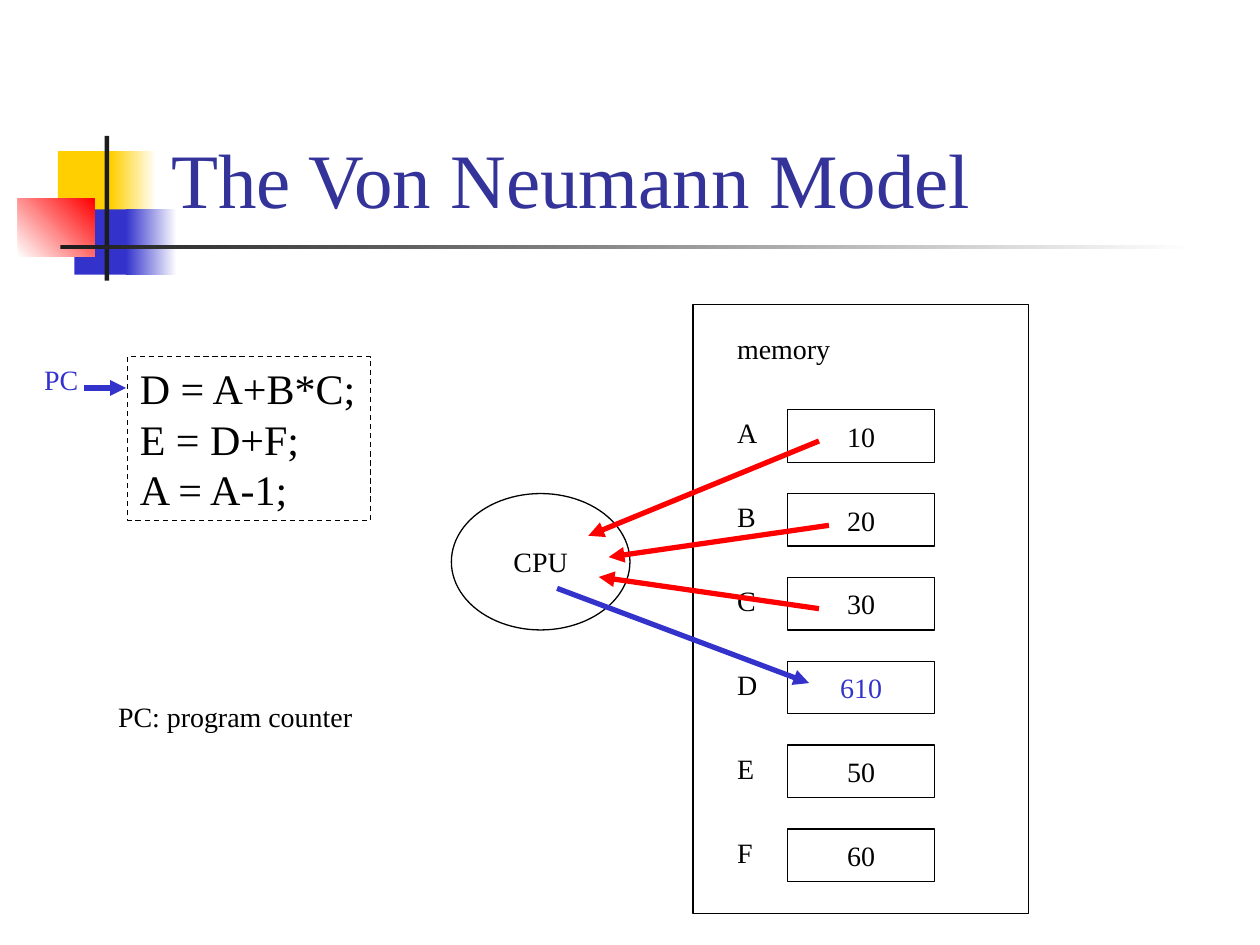
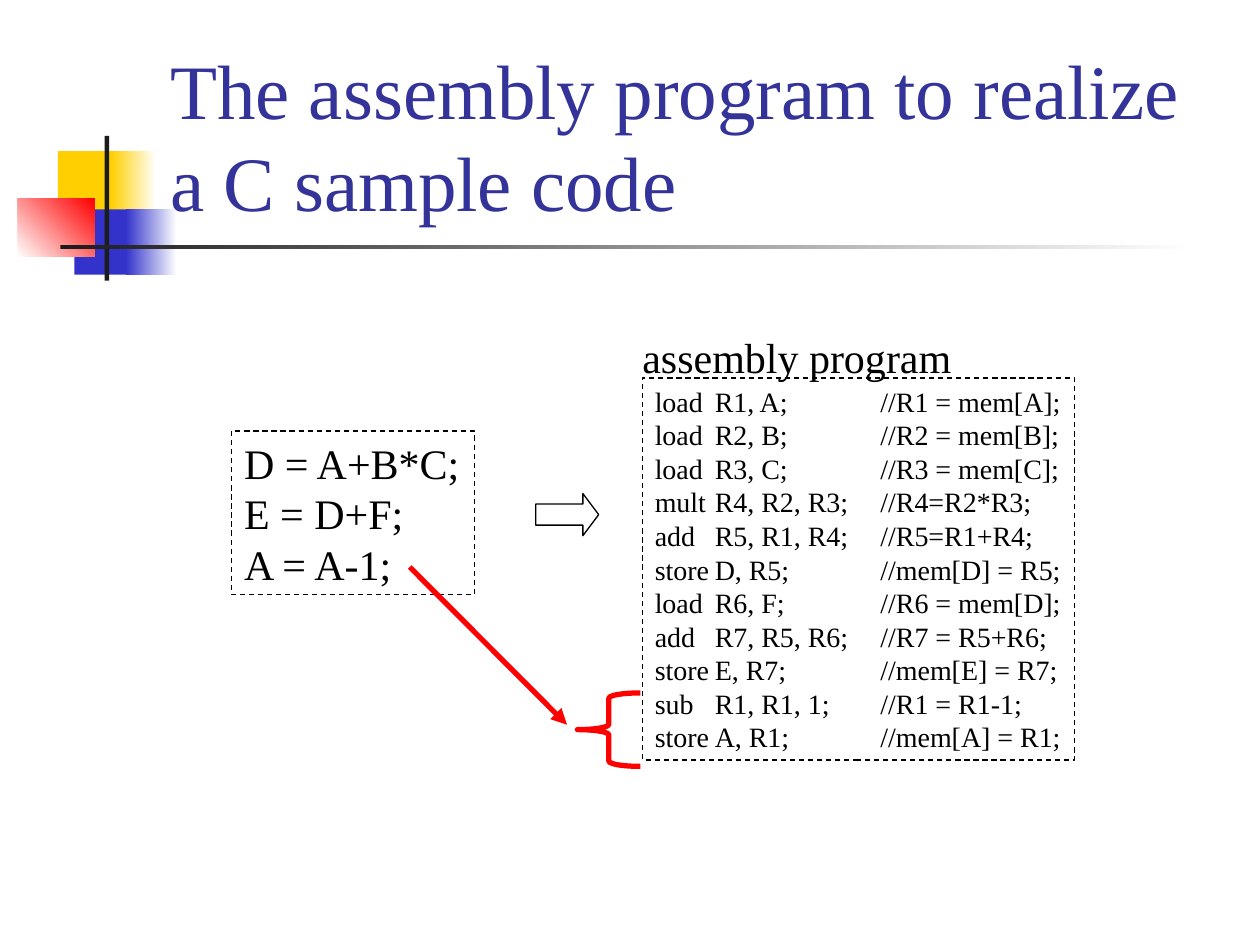
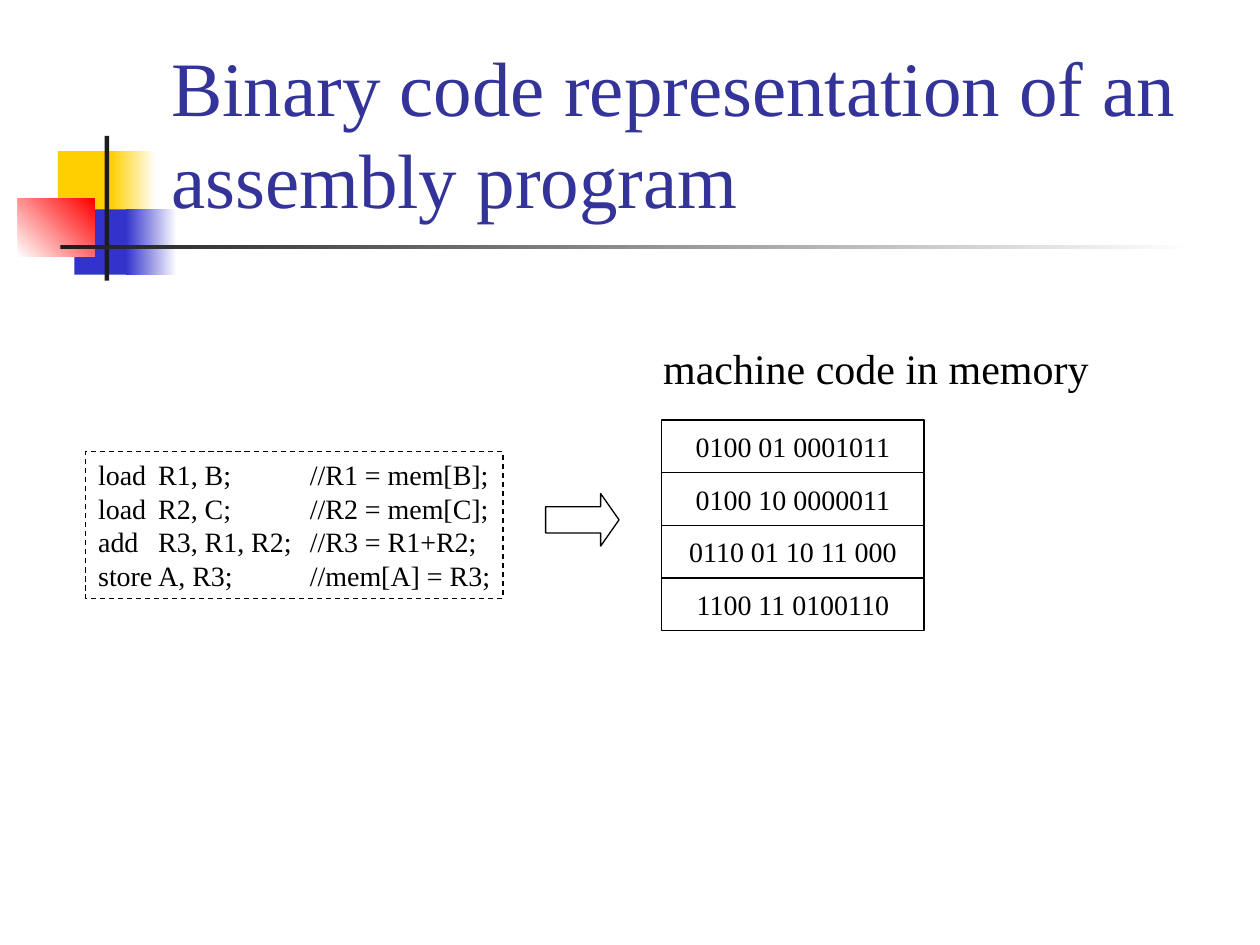
from dataclasses import dataclass

from pptx import Presentation
from pptx.dml.color import RGBColor
from pptx.enum.dml import MSO_LINE
from pptx.enum.shapes import MSO_CONNECTOR as Link, MSO_SHAPE as Kind
from pptx.enum.text import MSO_ANCHOR as Anchor, PP_ALIGN as Align
from pptx.oxml.ns import qn
from pptx.oxml.xmlchemy import OxmlElement
from pptx.util import Cm, Pt


@dataclass(frozen=True)
class Theme:
    font: str = "Times New Roman"
    title: str = "333399"
    ink: str = "000000"
    blue: str = "3333CC"
    red: str = "FF0000"
    yellow: str = "FFCF01"
    dark: str = "1C1C1C"
    white: str = "FFFFFF"
    title_size: int = 44
    large: int = 24
    small: int = 16
    thin: float = 0.75
    thick: float = 3


THEME = Theme()

# Content; all lengths are in centimetres
C_CODE = ["D = A+B*C;", "E = D+F;", "A = A-1;"]
MEMORY = [("A", "10"), ("B", "20"), ("C", "30"),
          ("D", "610"), ("E", "50"), ("F", "60")]
RESULT = "D"
ASSEMBLY = [
    ("load", "R1, A;", "//R1 = mem[A];"),
    ("load", "R2, B;", "//R2 = mem[B];"),
    ("load", "R3, C;", "//R3 = mem[C];"),
    ("mult", "R4, R2, R3;", "//R4=R2*R3;"),
    ("add", "R5, R1, R4;", "//R5=R1+R4;"),
    ("store", "D, R5;", "//mem[D] = R5;"),
    ("load", "R6, F;", "//R6 = mem[D];"),
    ("add", "R7, R5, R6;", "//R7 = R5+R6;"),
    ("store", "E, R7;", "//mem[E] = R7;"),
    ("sub", "R1, R1, 1;", "//R1 = R1-1;"),
    ("store", "A, R1;", "//mem[A] = R1;"),
]
SHORT_ASSEMBLY = [
    ("load", "R1, B;", "//R1 = mem[B];"),
    ("load", "R2, C;", "//R2 = mem[C];"),
    ("add", "R3, R1, R2;", "//R3 = R1+R2;"),
    ("store", "A, R3;", "//mem[A] = R3;"),
]
MACHINE_CODE = ["0100 01 0001011", "0100 10 0000011",
                "0110 01 10 11 000", "1100 11 0100110"]

# Corner ornament: place, colours (two make a gradient), gradient angle
ORNAMENT = [
    ((1.17, 3.05, 1.22, 1.32), [THEME.yellow], 0),
    ((2.24, 3.05, 0.91, 1.32), [THEME.yellow, THEME.white], 0),
    ((1.5, 4.22, 1.17, 1.32), [THEME.blue], 0),
    ((2.54, 4.22, 1.02, 1.32), [THEME.blue, THEME.white], 0),
    ((0.36, 4.01, 1.55, 1.17), [THEME.white, THEME.red], 45),
    ((2.11, 2.74, 0.09, 2.92), [THEME.dark], 0),
    ((1.22, 4.94, 22.86, 0.09), [THEME.dark, THEME.white], 0),
]
CELL_HEIGHT = 1.06
OPERAND_TAB = 1.21


def color(code):
    return RGBColor.from_string(code)


def set_tabs(para, stops):
    tabs = OxmlElement("a:tabLst")
    for stop in stops:
        tab = OxmlElement("a:tab")
        tab.set("pos", str(Cm(stop)))
        tab.set("algn", "l")
        tabs.append(tab)
    para._p.get_or_add_pPr().append(tabs)


def write(box, lines, size, ink=THEME.ink, align=Align.LEFT,
          anchor=Anchor.TOP, tabs=()):
    frame = box.text_frame
    frame.word_wrap = True
    frame.vertical_anchor = anchor
    if align == Align.LEFT:
        frame.margin_right = 0
    for index, line in enumerate(lines):
        para = frame.add_paragraph() if index else frame.paragraphs[0]
        para.alignment = align
        if tabs:
            set_tabs(para, tabs)
        span = para.add_run()
        span.text = line
        span.font.name = THEME.font
        span.font.size = Pt(size)
        span.font.color.rgb = color(ink)


def add_text(page, place, text, size=THEME.small, **style):
    box = page.shapes.add_textbox(*map(Cm, place))
    write(box, [text], size, **style)


def add_outline(page, place, kind=Kind.RECTANGLE, ink=THEME.ink,
                width=THEME.thin):
    shape = page.shapes.add_shape(kind, *map(Cm, place))
    shape.shadow.inherit = False
    shape.fill.background()
    shape.line.color.rgb = color(ink)
    shape.line.width = Pt(width)
    return shape


def add_label_shape(page, place, text, kind=Kind.RECTANGLE, ink=THEME.ink):
    shape = add_outline(page, place, kind)
    write(shape, [text], THEME.small, ink, Align.CENTER, Anchor.MIDDLE)


def add_code(page, place, lines, size=THEME.large, tabs=()):
    shape = add_outline(page, place)
    shape.line.dash_style = MSO_LINE.DASH
    write(shape, lines, size, tabs=tabs)


def add_assembly(page, place, rows, comment_tab):
    add_code(page, place, ["\t".join(row) for row in rows], THEME.small,
             (OPERAND_TAB, comment_tab))


def add_block_arrow(page, place, head):
    add_outline(page, place, Kind.RIGHT_ARROW).adjustments[1] = head


def add_arrow(page, ends, ink):
    arrow = page.shapes.add_connector(Link.STRAIGHT, *map(Cm, ends))
    arrow.line.color.rgb = color(ink)
    arrow.line.width = Pt(THEME.thick)
    properties = arrow._element.spPr
    head = OxmlElement("a:tailEnd")
    head.set("type", "triangle")
    properties.find(qn("a:ln")).append(head)
    properties.append(OxmlElement("a:effectLst"))


def add_page(deck, title, left=3.2, top=0.58):
    page = deck.slides.add_slide(deck.slide_layouts[6])
    for place, colors, angle in ORNAMENT:
        shape = page.shapes.add_shape(Kind.RECTANGLE, *map(Cm, place))
        shape.shadow.inherit = False
        shape.line.fill.background()
        if len(colors) == 1:
            shape.fill.solid()
            shape.fill.fore_color.rgb = color(colors[0])
        else:
            shape.fill.gradient()
            shape.fill.gradient_angle = angle
            for stop, code in zip(shape.fill.gradient_stops, colors):
                stop.color.rgb = color(code)
    add_text(page, (left, top, 21.64, 4.06), title, THEME.title_size,
             ink=THEME.title, anchor=Anchor.BOTTOM)
    return page


def build_model(deck):
    page = add_page(deck, "The Von Neumann Model")
    add_code(page, (2.57, 7.19, 4.9, 3.3), C_CODE)

    # Memory with its named cells
    for index, (name, value) in enumerate(MEMORY):
        top = 8.26 + index * 1.69
        ink = THEME.blue if name == RESULT else THEME.ink
        add_label_shape(page, (15.88, top, 2.96, CELL_HEIGHT), value, ink=ink)
        add_text(page, (14.61, top, 0.95, 0.94), name)
    add_outline(page, (13.97, 6.14, 6.77, 12.28))
    add_text(page, (14.61, 6.56, 2.6, 0.94), "memory")

    # Processor and program counter
    add_label_shape(page, (9.1, 9.95, 3.6, 2.75), "CPU", Kind.OVAL)
    add_text(page, (2.13, 13.97, 5.5, 0.94), "PC: program counter")
    add_arrow(page, (1.7, 7.82, 2.54, 7.82), THEME.blue)
    add_text(page, (0.64, 7.19, 1.25, 0.94), "PC", ink=THEME.blue)

    # Reads into the processor, then the write back
    for ends in [(16.51, 8.89, 11.86, 10.8), (16.71, 10.59, 12.27, 11.23),
                 (16.51, 12.27, 12.07, 11.63)]:
        add_arrow(page, ends, THEME.red)
    add_arrow(page, (11.23, 11.86, 16.31, 13.77), THEME.blue)


def build_assembly(deck):
    page = add_page(deck, "The assembly program to realize a C sample code",
                    3.18, 0.64)
    add_code(page, (4.67, 8.69, 4.9, 3.3), C_CODE)
    add_assembly(page, (12.95, 7.62, 8.71, 7.7), ASSEMBLY, 4.55)
    add_text(page, (12.7, 6.55, 6.9, 1.27), "assembly program", THEME.large)
    add_block_arrow(page, (10.8, 9.95, 1.27, 0.85), 0.375)

    # Last statement and the instructions it becomes
    add_arrow(page, (8.26, 11.43, 11.43, 14.61), THEME.red)
    add_outline(page, (11.64, 13.97, 1.27, 1.48), Kind.LEFT_BRACE,
                THEME.red, THEME.thick)


def build_binary(deck):
    page = add_page(deck, "Binary code representation of an assembly program")
    add_assembly(page, (1.73, 9.1, 8.41, 2.97), SHORT_ASSEMBLY, 4.27)
    for index, word in enumerate(MACHINE_CODE):
        top = 8.47 + index * CELL_HEIGHT
        add_label_shape(page, (13.34, top, 5.29, CELL_HEIGHT), word)
    add_text(page, (13.12, 6.77, 9.3, 1.27), "machine code in memory",
             THEME.large)
    add_block_arrow(page, (11, 9.95, 1.48, 1.06), 0.35)


def main():
    deck = Presentation()
    deck.slide_width, deck.slide_height = Cm(25.4), Cm(19.05)
    for build in (build_model, build_assembly, build_binary):
        build(deck)
    deck.save("out.pptx")


if __name__ == "__main__":
    main()
